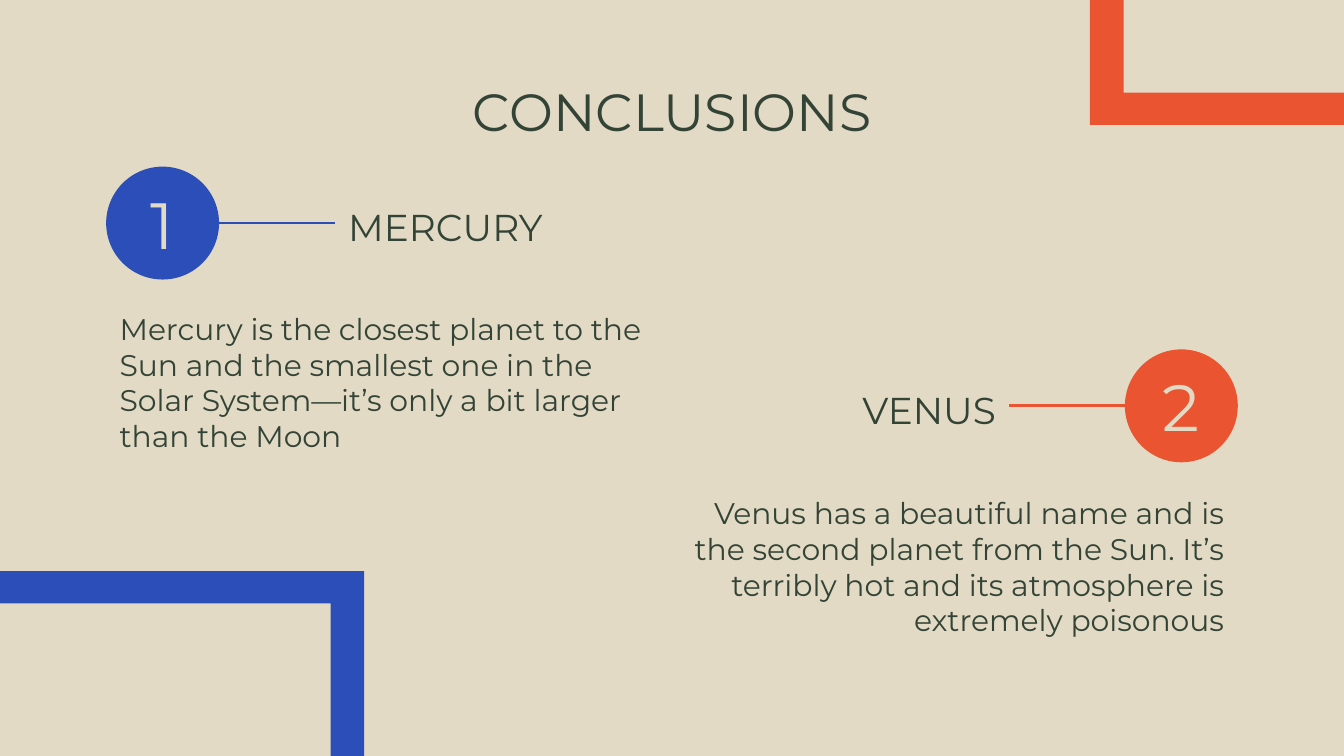
import pptx
import pptx.util
import pptx.dml.color
import pptx.enum.shapes
import pptx.enum.text
import pptx.oxml.ns
import lxml.etree

Inches = pptx.util.Inches
ALIGN = pptx.enum.text.PP_ALIGN
ANCHOR = pptx.enum.text.MSO_ANCHOR

THEME = {
    "font": "Montserrat",
    "sand": "E3DAC5", "ink": "334436", "blue": "2C4EB8", "orange": "EA5430",
    "title": 28, "number": 35, "heading": 20, "body": 16, "line": 1.5,
}
WIDTH = 10
HEIGHT = WIDTH * 9 / 16
MIDDLE = WIDTH / 2
MARGIN = 0.79
DISC = 0.84
LINE_LENGTH = 0.86
COLUMN = MIDDLE - MARGIN
HEADING_SIZE = (2.51, 0.48)
BODY_HEIGHT = 1.45

HEADLINE = "CONCLUSIONS"
PLANETS = [
    {"number": "1", "name": "MERCURY", "color": "blue", "side": "left",
     "top": 1.24, "fact_top": 2.21,
     "fact": "Mercury is the closest planet to the Sun and the smallest one in the "
             "Solar System—it’s only a bit larger than the Moon"},
    {"number": "2", "name": "VENUS", "color": "orange", "side": "right",
     "top": 2.6, "fact_top": 3.58,
     "fact": "Venus has a beautiful name and is the second planet from the Sun. "
             "It’s terribly hot and its atmosphere is extremely poisonous"},
]
CORNERS = [
    ("orange", [(8.11, 0), (8.36, 0), (8.36, 0.69), (WIDTH, 0.69), (WIDTH, 0.93), (8.11, 0.93)]),
    ("blue", [(0, 4.25), (2.71, 4.25), (2.71, HEIGHT), (2.46, HEIGHT), (2.46, 4.49), (0, 4.49)]),
]


def color(name):
    return pptx.dml.color.RGBColor.from_string(THEME[name])


def paint(shape, name):
    shape.shadow.inherit = False
    shape.fill.solid()
    shape.fill.fore_color.rgb = color(name)
    shape.line.fill.background()


def write(shape, text, size, ink, align, anchor):
    frame = shape.text_frame
    frame.word_wrap = True
    frame.auto_size = pptx.enum.text.MSO_AUTO_SIZE.NONE
    frame.vertical_anchor = anchor
    frame.margin_left = frame.margin_right = Inches(0.1)
    frame.margin_top = frame.margin_bottom = Inches(0.1)
    paragraph = frame.paragraphs[0]
    properties = paragraph._p.get_or_add_pPr()
    properties.set("marL", "0")
    properties.set("indent", "0")
    lxml.etree.SubElement(properties, pptx.oxml.ns.qn("a:buNone"))
    paragraph.alignment = align
    paragraph.space_before = pptx.util.Pt(0)
    run = paragraph.add_run()
    run.text = text
    run.font.name = THEME["font"]
    run.font.size = pptx.util.Pt(THEME[size])
    run.font.bold = False
    run.font.color.rgb = color(ink)


def fill_placeholder(placeholder, box, text, size, align):
    placeholder.left, placeholder.top, placeholder.width, placeholder.height = map(Inches, box)
    write(placeholder, text, size, "ink", align, ANCHOR.TOP)


def add_corner(slide, name, points):
    builder = slide.shapes.build_freeform(*map(Inches, points[0]))
    builder.add_line_segments([tuple(map(Inches, point)) for point in points[1:]], close=True)
    paint(builder.convert_to_shape(), name)


def add_planet(slide, planet, heading, body):
    top = planet["top"]
    center = top + DISC / 2
    if planet["side"] == "left":
        disc_left, align = MARGIN, ALIGN.LEFT
        line_start = disc_left + DISC
        line_end = line_start + LINE_LENGTH
        heading_left, body_left = line_end, MARGIN
    else:
        disc_left, align = WIDTH - MARGIN - DISC, ALIGN.RIGHT
        line_start = disc_left
        line_end = line_start - LINE_LENGTH
        heading_left, body_left = line_end - HEADING_SIZE[0], MIDDLE

    disc = slide.shapes.add_shape(pptx.enum.shapes.MSO_SHAPE.OVAL, Inches(disc_left),
                                  Inches(top), Inches(DISC), Inches(DISC))
    paint(disc, planet["color"])
    write(disc, planet["number"], "number", "sand", ALIGN.CENTER, ANCHOR.MIDDLE)

    link = slide.shapes.add_connector(pptx.enum.shapes.MSO_CONNECTOR.STRAIGHT, Inches(line_start),
                                      Inches(center), Inches(line_end), Inches(center))
    link.line.color.rgb = color(planet["color"])
    link.line.width = pptx.util.Pt(THEME["line"])
    lxml.etree.SubElement(link._element.spPr, pptx.oxml.ns.qn("a:effectLst"))

    fill_placeholder(heading, (heading_left, top + 0.18, *HEADING_SIZE),
                     planet["name"], "heading", align)
    fill_placeholder(body, (body_left, planet["fact_top"], COLUMN, BODY_HEIGHT),
                     planet["fact"], "body", align)


def main():
    deck = pptx.Presentation()
    deck.slide_width, deck.slide_height = Inches(WIDTH), Inches(HEIGHT)
    slide = deck.slides.add_slide(deck.slide_layouts.get_by_name("Comparison"))
    slide.background.fill.solid()
    slide.background.fill.fore_color.rgb = color("sand")

    title, *texts = list(slide.placeholders)
    for name, points in CORNERS:
        add_corner(slide, name, points)

    fill_placeholder(title, (MARGIN, 0.49, 2 * COLUMN, 0.63), HEADLINE, "title", ALIGN.CENTER)
    for planet, heading, body in zip(PLANETS, texts[::2], texts[1::2]):
        add_planet(slide, planet, heading, body)

    deck.save("out.pptx")


if __name__ == "__main__":
    main()
